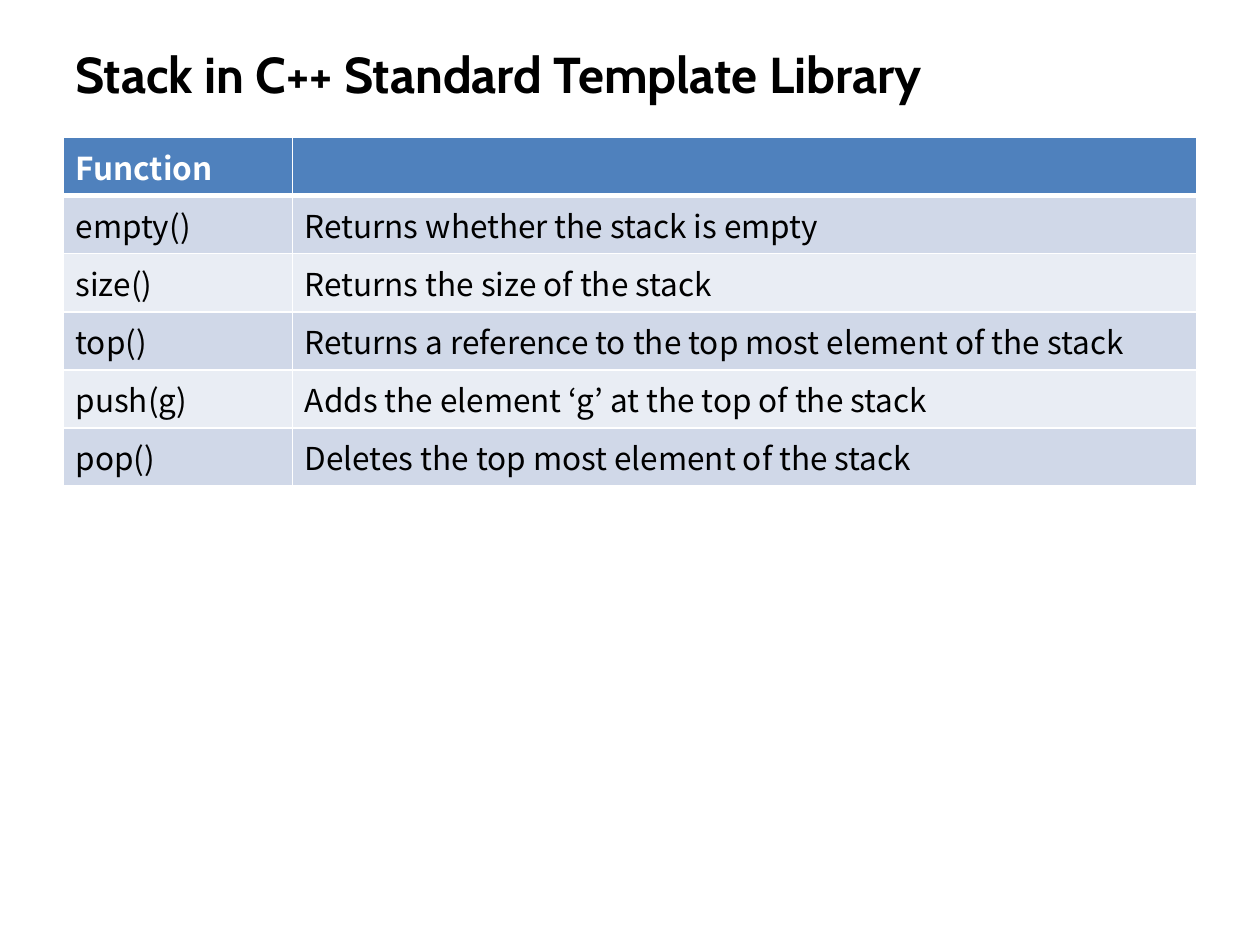
from lxml.etree import SubElement
from pptx import Presentation
from pptx.dml.color import RGBColor
from pptx.enum.text import MSO_ANCHOR as Anchor
from pptx.oxml.ns import qn
from pptx.util import Inches, Pt

WIDTH, HEIGHT = Inches(10), Inches(7.5)
MARGIN = 0.05
CONTENT = 1 - 2 * MARGIN
COLUMN_SHARES = (0.182, 0.718)
TABLE_TOP = 1.09 / 7.5
TABLE_HEIGHT = 2.77 / 7.5
WHITE, BLACK = "FFFFFF", "000000"
HEADER_FILL = "4F81BD"
BAND_FILLS = ("D0D8E8", "E9EDF4")
TITLE_FORMAT = {"name": "Cabin", "size": Pt(28.8), "bold": True}
HEADER_FORMAT = {"name": "Noto Sans CJK KR", "size": Pt(18), "bold": True}
BODY_FORMAT = {**HEADER_FORMAT, "bold": False}
ROWS = (
    ("Function", ""),
    ("empty()", "Returns whether the stack is empty"),
    ("size()", "Returns the size of the stack"),
    ("top()", "Returns a reference to the top most element of the stack"),
    ("push(g)", "Adds the element ‘g’ at the top of the stack"),
    ("pop()", "Deletes the top most element of the stack"),
)


def color(value):
    return RGBColor.from_string(value)


def across(share):
    return round(WIDTH * share)


def down(share):
    return round(HEIGHT * share)


def write(para, text, text_format, text_color):
    span = para.add_run() if text else para
    if text:
        span.text = text
    for name, value in text_format.items():
        setattr(span.font, name, value)
    span.font.color.rgb = color(text_color)


def add_title(page, text):
    box = page.shapes.add_textbox(across(MARGIN), down(0.04), across(CONTENT), down(0.075))
    frame = box.text_frame
    frame.word_wrap = True
    frame.vertical_anchor = Anchor.MIDDLE
    write(frame.paragraphs[0], text, TITLE_FORMAT, BLACK)


def add_borders(cell, widths):
    properties = cell._tc.get_or_add_tcPr()
    for side, width in widths.items():
        line = SubElement(properties, qn(f"a:ln{side}"), w=str(Pt(width)))
        fill = SubElement(line, qn("a:solidFill"))
        SubElement(fill, qn("a:srgbClr"), val=WHITE)


def style_cell(cell, text, row):
    is_header = row == 0
    widths = {"L": 1, "R": 1, "T": 3 if row == 1 else 1, "B": 3 if is_header else 1}
    add_borders(cell, widths)
    cell.fill.solid()
    cell.fill.fore_color.rgb = color(HEADER_FILL if is_header else BAND_FILLS[(row - 1) % 2])
    text_format = HEADER_FORMAT if is_header else BODY_FORMAT
    write(cell.text_frame.paragraphs[0], text, text_format, WHITE if is_header else BLACK)


def add_function_table(page, rows):
    frame = page.shapes.add_table(
        len(rows), len(COLUMN_SHARES),
        across(MARGIN), down(TABLE_TOP), across(CONTENT), down(TABLE_HEIGHT),
    )
    table = frame.table
    for column, share in zip(table.columns, COLUMN_SHARES):
        column.width = across(share)
    for row, texts in enumerate(rows):
        for column, text in enumerate(texts):
            style_cell(table.cell(row, column), text, row)


def main():
    deck = Presentation()
    deck.slide_width, deck.slide_height = WIDTH, HEIGHT
    page = deck.slides.add_slide(deck.slide_layouts[6])
    add_title(page, "Stack in C++ Standard Template Library")
    add_function_table(page, ROWS)
    deck.save("out.pptx")


if __name__ == "__main__":
    main()
